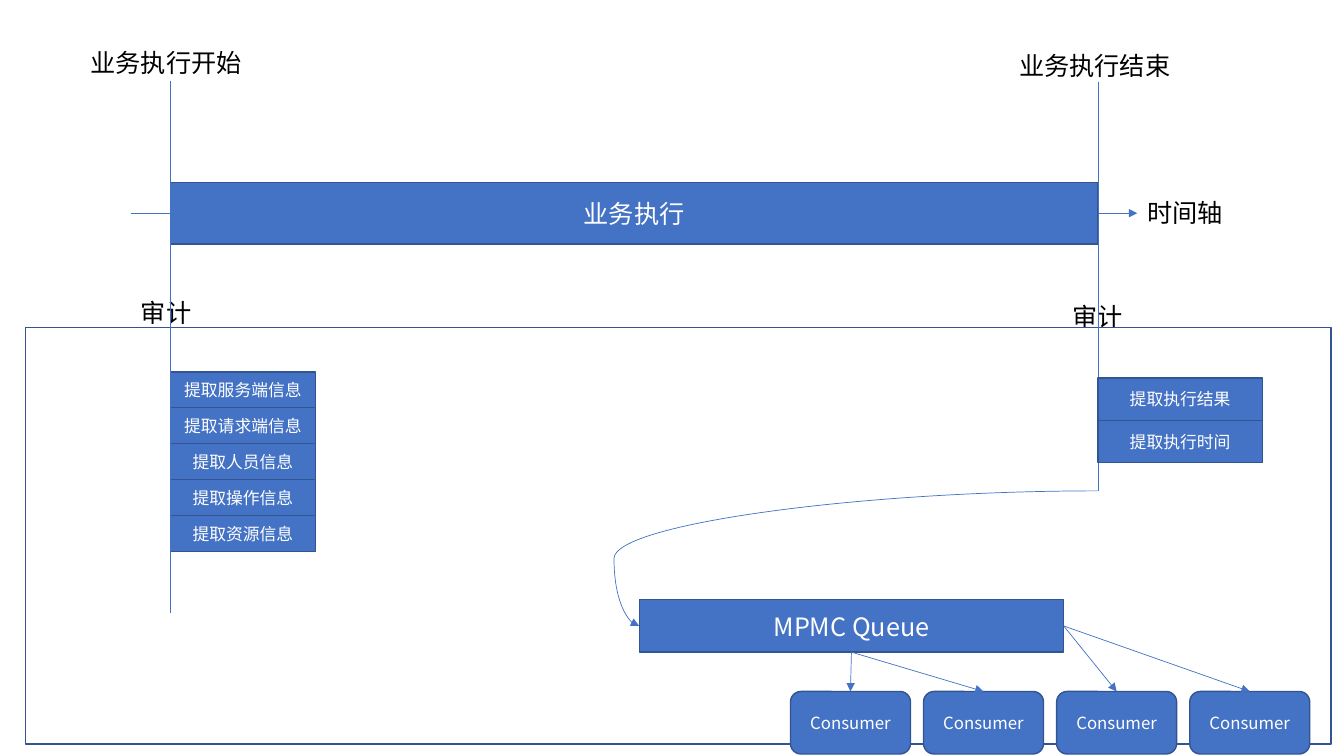
import pptx
import pptx.util
import pptx.dml.color
import pptx.enum.shapes
import pptx.enum.text
import pptx.oxml
import pptx.oxml.ns
from lxml import etree

Inches = pptx.util.Inches
SHAPE = pptx.enum.shapes.MSO_SHAPE
CONNECTOR = pptx.enum.shapes.MSO_CONNECTOR
COLOURS = {"fill": "4472C4", "edge": "325491", "panel": "FFFFFF",
           "light": "FFFFFF", "dark": "000000"}
FONT = "Noto Sans CJK SC"
BOTTOM, LEFT, RIGHT, TOP = 2, 1, 3, 0


def colour(name):
    return pptx.dml.color.RGBColor.from_string(COLOURS[name])


def write(frame, text, size, ink):
    frame.word_wrap = True
    frame.text = text
    font = frame.paragraphs[0].runs[0].font
    font.size, font.name = pptx.util.Pt(size), FONT
    font.color.rgb = colour(ink)
    east_asian = etree.SubElement(font._element, pptx.oxml.ns.qn("a:ea"))
    east_asian.set("typeface", FONT)


def add_label(slide, text, left, top, width, height=0.4):
    label = slide.shapes.add_textbox(*map(Inches, (left, top, width, height)))
    write(label.text_frame, text, 18, "dark")


def add_block(slide, box, text="", size=12, kind=SHAPE.RECTANGLE, fill="fill"):
    block = slide.shapes.add_shape(kind, *map(Inches, box))
    block.shadow.inherit = False
    block.fill.solid()
    block.fill.fore_color.rgb = colour(fill)
    block.line.color.rgb = colour("edge")
    block.line.width = pptx.util.Pt(1)
    if text:
        frame = block.text_frame
        write(frame, text, size, "light")
        frame.vertical_anchor = pptx.enum.text.MSO_ANCHOR.MIDDLE
        frame.paragraphs[0].alignment = pptx.enum.text.PP_ALIGN.CENTER
    return block


def add_line(slide, start, end, arrow=False, kind=CONNECTOR.STRAIGHT):
    line = slide.shapes.add_connector(kind, *map(Inches, (*start, *end)))
    line.line.color.rgb = colour("fill")
    line.line.width = pptx.util.Pt(0.5)
    if arrow:
        outline = line.line._get_or_add_ln()
        etree.SubElement(outline, pptx.oxml.ns.qn("a:tailEnd")).set("type", "triangle")
    etree.SubElement(line._element.spPr, pptx.oxml.ns.qn("a:effectLst"))
    return line


def add_timeline(slide, left, top, width, height):
    middle = top + height / 2
    axis_end = left + width + 0.39
    add_line(slide, (left - 0.39, middle), (axis_end, middle), arrow=True)
    add_block(slide, (left, top, width, height), "业务执行", 18)
    add_label(slide, "时间轴", axis_end, top + 0.1, 1.16)
    add_label(slide, "业务执行开始", left - 0.89, top - 1.39, 1.77)
    add_label(slide, "业务执行结束", left + width - 0.88, top - 1.36, 1.77)


def add_audit_panel(slide, left, top, width, height):
    add_label(slide, "审计", left + 1.05, top - 0.35, 0.91)
    add_label(slide, "审计", left + 10.29, top - 0.31, 0.91)
    add_block(slide, (left, top, width, height), fill="panel")


def add_steps(slide, steps, left, top, width, height):
    step_height = height / len(steps)
    for row, step in enumerate(steps):
        add_block(slide, (left, top + row * step_height, width, step_height), step)


def add_queue(slide, left, top, width, height, source):
    queue = add_block(slide, (left, top, width, height), "MPMC Queue", 18,
                      SHAPE.FLOWCHART_PROCESS)
    consumers = [add_block(slide, (left + 1.5 + 1.32 * column, top + 0.91, 1.19, 0.62),
                           "Consumer", kind=SHAPE.ROUNDED_RECTANGLE)
                 for column in range(4)]
    feed = add_line(slide, source, (left, top + height / 2), True, CONNECTOR.CURVE)
    feed.end_connect(queue, LEFT)
    bends = feed._element.spPr.prstGeom.get_or_add_avLst()
    bend = etree.SubElement(bends, pptx.oxml.ns.qn("a:gd"))
    bend.set("name", "adj1")
    bend.set("fmla", "val 105500")
    for consumer, exit_side in zip(consumers, (BOTTOM, BOTTOM, RIGHT, RIGHT)):
        delivery = add_line(slide, (left, top), (left, top), arrow=True)
        delivery.begin_connect(queue, exit_side)
        delivery.end_connect(consumer, TOP)


deck = pptx.Presentation()
deck.slide_width, deck.slide_height = Inches(13.33), Inches(7.5)
slide = deck.slides.add_slide(deck.slide_layouts[6])

start_x, end_x, end_y = 1.69, 10.89, 4.87
add_timeline(slide, start_x, 1.81, end_x - start_x, 0.61)
add_audit_panel(slide, 0.25, 3.25, 12.95, 4.13)
add_steps(slide, ["提取服务端信息", "提取请求端信息", "提取人员信息", "提取操作信息", "提取资源信息"],
          start_x, 3.69, 1.44, 1.78)
add_line(slide, (start_x, 0.8), (start_x, 6.08))
add_line(slide, (end_x, 0.81), (end_x, end_y))
add_steps(slide, ["提取执行结果", "提取执行时间"], end_x, 3.75, 1.63, 0.84)
add_queue(slide, 6.34, 5.95, 4.21, 0.52, (end_x, end_y))

deck.save("out.pptx")
